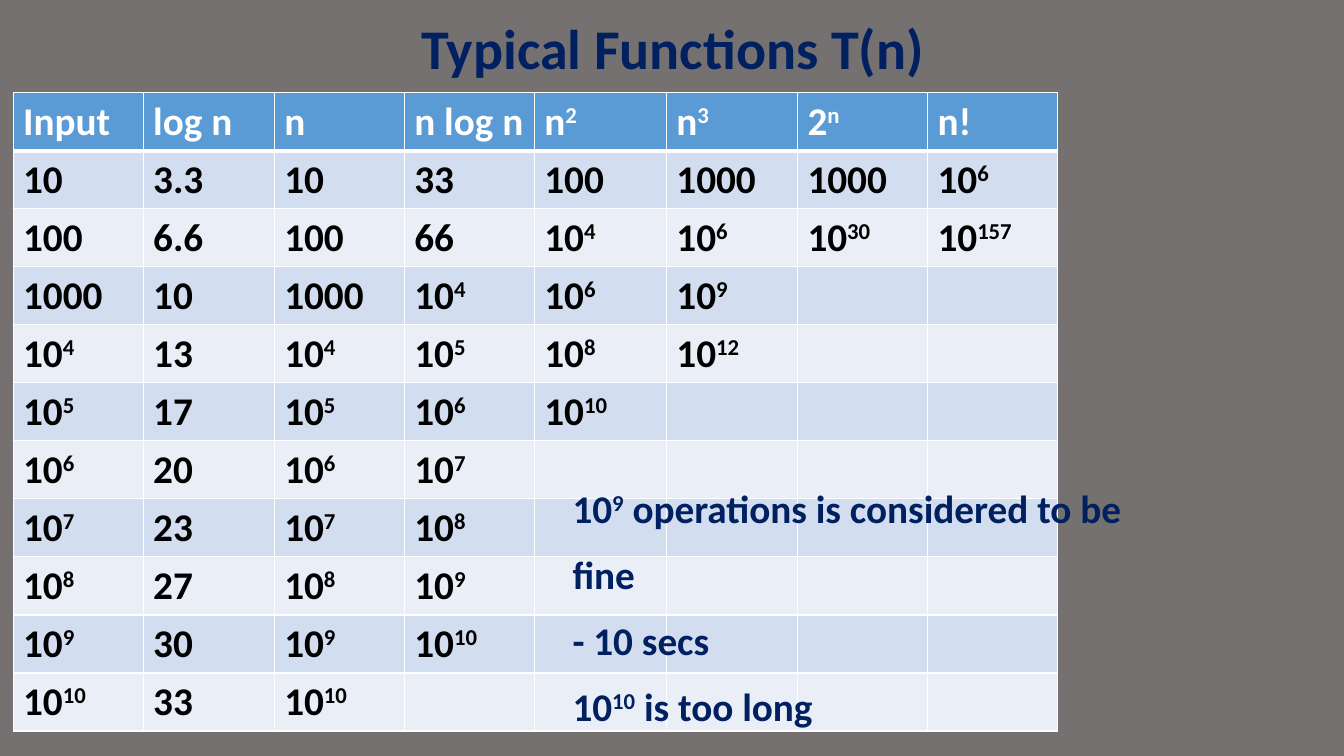
from lxml import etree
from pptx import Presentation
from pptx import util as u
from pptx.dml.color import RGBColor
from pptx.enum import text
from pptx.oxml import ns

TITLE = "Typical Functions T(n)"
HEADER = ["Input", "log n", "n", "n log n", "n^2", "n^3", "2^n", "n!"]
ROWS = [
    ["10", "3.3", "10", "33", "100", "1000", "1000", "10^6"],
    ["100", "6.6", "100", "66", "10^4", "10^6", "10^30", "10^157"],
    ["1000", "10", "1000", "10^4", "10^6", "10^9"],
    ["10^4", "13", "10^4", "10^5", "10^8", "10^12"],
    ["10^5", "17", "10^5", "10^6", "10^10"],
    ["10^6", "20", "10^6", "10^7"],
    ["10^7", "23", "10^7", "10^8"],
    ["10^8", "27", "10^8", "10^9"],
    ["10^9", "30", "10^9", "10^10"],
    ["10^10", "33", "10^10"],
]
NOTES = ["10^9^ operations is considered to be fine", "- 10 secs", "10^10^ is too long"]
COLUMN_WIDTHS = [1.29, 1.3, 1.29, 1.29, 1.31, 1.3, 1.29, 1.29]
ROW_HEIGHT = 0.57

FONT = "Calibri"
GREY = RGBColor(0x76, 0x71, 0x71)
NAVY = RGBColor(0x00, 0x20, 0x60)
BLUE = RGBColor(0x5B, 0x9B, 0xD5)
WHITE = RGBColor(0xFF, 0xFF, 0xFF)
BLACK = RGBColor(0x00, 0x00, 0x00)
BANDS = [RGBColor(0xD2, 0xDE, 0xEF), RGBColor(0xEA, 0xEF, 0xF7)]


def add_spans(para, content, size, color):
    for index, piece in enumerate(content.split("^")):
        span = para.add_run()
        span.text = piece
        span.font.name = FONT
        span.font.size = u.Pt(size)
        span.font.bold = True
        span.font.color.rgb = color
        if index % 2:
            span.font._element.set("baseline", "30000")


def add_borders(cell, bottom_width):
    properties = cell._tc.get_or_add_tcPr()
    for side, width in (("L", 1), ("R", 1), ("T", 1), ("B", bottom_width)):
        line = etree.SubElement(properties, ns.qn(f"a:ln{side}"), w=str(u.Pt(width)))
        fill = etree.SubElement(line, ns.qn("a:solidFill"))
        etree.SubElement(fill, ns.qn("a:srgbClr"), val=str(WHITE))


def add_title(page):
    title = page.shapes.title
    title.left, title.top = u.Inches(0.92), u.Inches(0.02)
    title.width, title.height = u.Inches(11.5), u.Inches(0.98)
    title.text_frame.vertical_anchor = text.MSO_ANCHOR.MIDDLE
    para = title.text_frame.paragraphs[0]
    para.alignment = text.PP_ALIGN.CENTER
    para.line_spacing = 0.9
    add_spans(para, TITLE, 40, NAVY)


def add_growth_table(page):
    grid = [HEADER] + ROWS
    table = page.shapes.add_table(
        len(grid), len(HEADER), u.Inches(0.13), u.Inches(0.92),
        u.Inches(sum(COLUMN_WIDTHS)), u.Inches(ROW_HEIGHT * len(grid))).table
    for column, width in zip(table.columns, COLUMN_WIDTHS):
        column.width = u.Inches(width)
    for r, values in enumerate(grid):
        table.rows[r].height = u.Inches(ROW_HEIGHT)
        for c in range(len(HEADER)):
            cell = table.cell(r, c)
            cell.margin_right = u.Inches(0.05)
            add_borders(cell, 1 if r else 3)
            cell.fill.solid()
            cell.fill.fore_color.rgb = BANDS[(r - 1) % 2] if r else BLUE
            if c < len(values):
                add_spans(cell.text_frame.paragraphs[0], values[c], 28,
                          BLACK if r else WHITE)


def add_notes_box(page):
    box = page.shapes.add_textbox(
        u.Inches(5.58), u.Inches(4.57), u.Inches(6.11), u.Inches(2.06))
    frame = box.text_frame
    frame.word_wrap = True
    for index, note in enumerate(NOTES):
        para = frame.add_paragraph() if index else frame.paragraphs[0]
        para.line_spacing = 1.4
        add_spans(para, note, 28, NAVY)


def main():
    deck = Presentation()
    deck.slide_width, deck.slide_height = u.Inches(13.33), u.Inches(7.5)
    page = deck.slides.add_slide(deck.slide_layouts[5])
    page.background.fill.solid()
    page.background.fill.fore_color.rgb = GREY
    add_title(page)
    add_growth_table(page)
    add_notes_box(page)
    deck.save("out.pptx")


if __name__ == "__main__":
    main()
